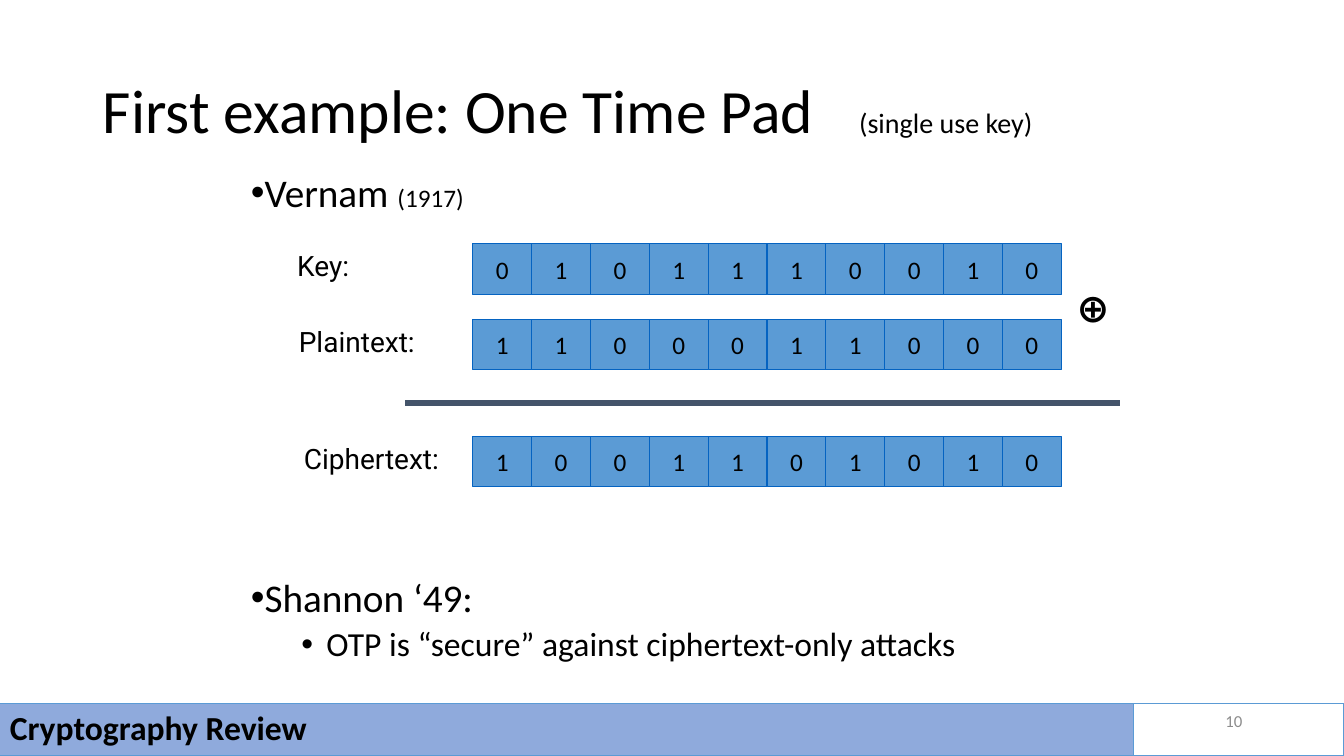
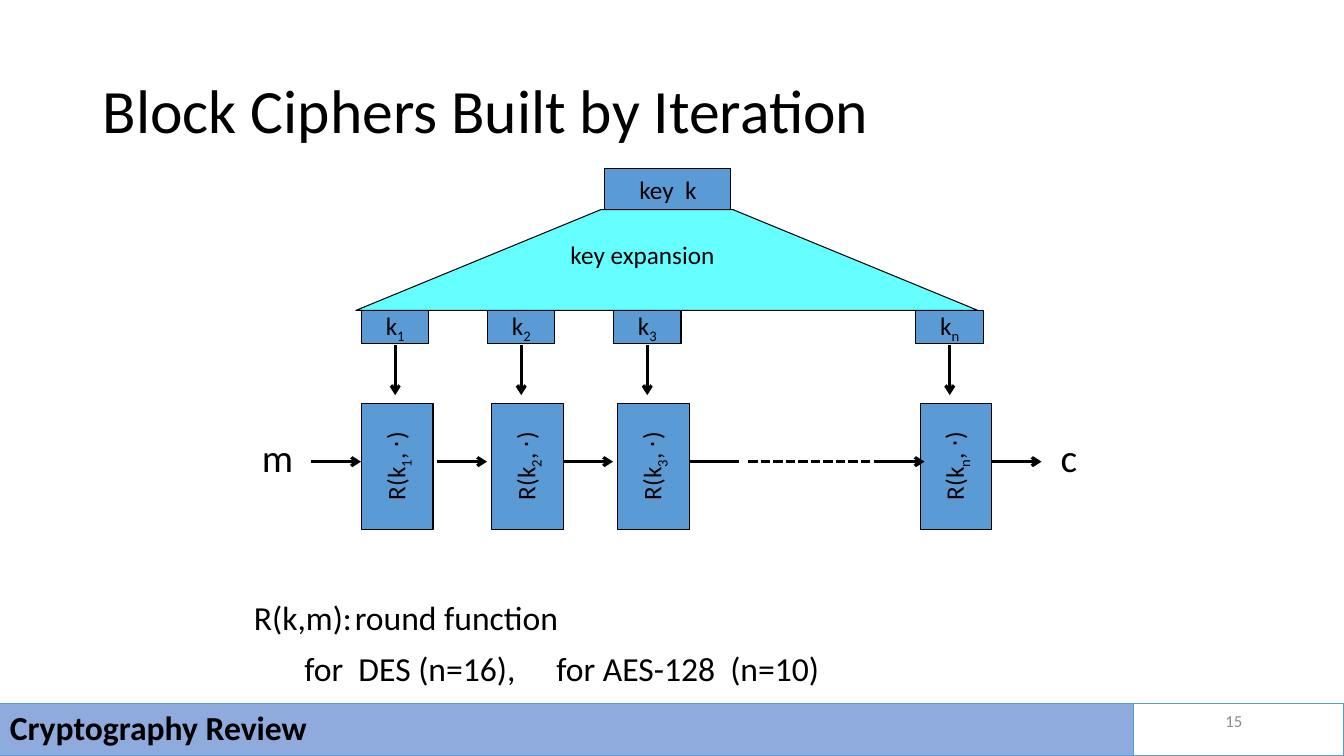
from lxml import etree
from pptx import Presentation
from pptx import util as u
from pptx.dml.color import RGBColor
from pptx.enum import dml, shapes, text
from pptx.oxml.ns import qn

BLACK = RGBColor(0x00, 0x00, 0x00)
BLUE = RGBColor(0x5B, 0x9B, 0xD5)
CELL_EDGE = RGBColor(0x05, 0x63, 0xC1)
BAND = RGBColor(0x8F, 0xAA, 0xDC)
SLATE = RGBColor(0x44, 0x54, 0x6A)
CYAN = RGBColor(0x66, 0xFF, 0xFF)
GRAY = RGBColor(0x8C, 0x8C, 0x8C)
BODY_FONT, LABEL_FONT = "Calibri", "Roboto"

WIDTH, HEIGHT = 13.33, 7.5
BAND_TOP, BAND_SPLIT = 6.98, 11.24
COURSE = "Cryptography Review"

PAD_TITLE = [("First example: One Time Pad", 44), ("\t(single use key)", 20)]
VERNAM = [("Vernam ", 28), ("(1917)", 18)]
SHANNON = "Shannon ‘49:"
SHANNON_CLAIM = "OTP is “secure” against ciphertext-only attacks"
BIT_ROWS = [
    ("Key:", "0101110010", 2.42, 2.83, 0.75),
    ("Plaintext:", "1100011000", 3.17, 2.86, 1.36),
    ("Ciphertext:", "1001101010", 4.33, 2.9, 1.57),
]
BITS_LEFT, BIT_WIDTH, BIT_HEIGHT = 4.69, 0.58 + 0.0036, 0.5

BLOCK_TITLE = [("Block Ciphers Built by Iteration", 44)]
ROUNDS = [("1", 0, 0.02), ("2", 1, 0.06), ("3", 2, 0.06), ("n", 4.4, 0.06)]
ROUND_STEP, FIRST_KEY = 1.25, 3.92
FLOW_Y, FLOW_LENGTH = 4.58, 0.5
FLOWS = [(3.08, True), (4.33, True), (5.58, True), (6.83, False),
         (8.67, True), (9.83, True)]
ROUND_NOTES = [
    ("R(k,m):\tround function", [1.28]),
    ("\tfor  DES (n=16),\tfor AES-128  (n=10)", [1.13, 3.67]),
]


def box(left, top, width, height):
    return [u.Inches(v) for v in (left, top, width, height)]


def write(paragraph, content, size=18, font=BODY_FONT, color=BLACK, bold=None,
          align=text.PP_ALIGN.LEFT, spacing=None, before=0, bullet=False,
          indent=(0, 0), tabs=()):
    properties = paragraph._p.get_or_add_pPr()
    properties.set("marL", str(u.Inches(indent[0])))
    properties.set("indent", str(u.Inches(indent[1])))
    if bullet:
        etree.SubElement(properties, qn("a:buFont"), typeface="Arial")
        etree.SubElement(properties, qn("a:buChar"), char="•")
    else:
        etree.SubElement(properties, qn("a:buNone"))
    if tabs:
        stops = etree.SubElement(properties, qn("a:tabLst"))
        for stop in tabs:
            etree.SubElement(stops, qn("a:tab"), pos=str(u.Inches(stop)), algn="l")
    paragraph.alignment = align
    paragraph.space_before = u.Pt(before)
    if spacing:
        paragraph.line_spacing = spacing
    style = paragraph.font
    style.name, style.size, style.bold = font, u.Pt(size), bold
    style.color.rgb = color
    for words, own_size in [(content, None)] if isinstance(content, str) else content:
        run = paragraph.add_run()
        run.text = words
        if own_size == "sub":
            run._r.get_or_add_rPr().set("baseline", "-25000")
        elif own_size:
            run.font.size = u.Pt(own_size)


def add_label(slide, place, content, wrap=False, anchor=text.MSO_ANCHOR.TOP, **style):
    frame = slide.shapes.add_textbox(*box(*place)).text_frame
    frame.word_wrap = wrap
    frame.vertical_anchor = anchor
    write(frame.paragraphs[0], content, **style)
    return frame


def add_block(owner, place, content="", fill=BLUE, edge=BLACK,
              kind=shapes.MSO_SHAPE.RECTANGLE, wrap=True, **style):
    block = owner.shapes.add_shape(kind, *box(*place))
    block.shadow.inherit = False
    if fill is None:
        block.fill.background()
    else:
        block.fill.solid()
        block.fill.fore_color.rgb = fill
    block.line.color.rgb = edge
    block.line.width = u.Pt(0.75)
    if content:
        frame = block.text_frame
        frame.word_wrap = wrap
        frame.vertical_anchor = text.MSO_ANCHOR.MIDDLE
        write(frame.paragraphs[0], content,
              **{"align": text.PP_ALIGN.CENTER, **style})
    return block


def add_line(slide, start, end, color=BLACK, width=2.25, arrow=False, dashed=False):
    line = slide.shapes.add_connector(
        shapes.MSO_CONNECTOR.STRAIGHT, *[u.Inches(v) for v in (*start, *end)])
    line.line.color.rgb = color
    line.line.width = u.Pt(width)
    if dashed:
        line.line.dash_style = dml.MSO_LINE.SQUARE_DOT
    if arrow:
        etree.SubElement(line.line._get_or_add_ln(), qn("a:tailEnd"), type="arrow")
    etree.SubElement(line._element.spPr, qn("a:effectLst"))


def add_slide(deck, heading, number):
    slide = deck.slides.add_slide(deck.slide_layouts[5])
    title = slide.shapes.title
    title.left, title.top, title.width, title.height = box(0.92, 0.4, 11.5, 1.45)
    frame = title.text_frame
    frame.auto_size = text.MSO_AUTO_SIZE.NONE
    frame.vertical_anchor = text.MSO_ANCHOR.MIDDLE
    write(frame.paragraphs[0], heading, size=44, spacing=0.9, tabs=[7.47])

    band_height = HEIGHT - BAND_TOP
    add_block(slide, (0, BAND_TOP, BAND_SPLIT, band_height), COURSE, fill=BAND,
              edge=BLUE, size=24, bold=True, spacing=0.9, align=text.PP_ALIGN.LEFT)
    add_block(slide, (BAND_SPLIT, BAND_TOP, WIDTH - BAND_SPLIT, band_height),
              fill=None, edge=BLUE)
    add_label(slide, (9.42, 6.95, 3, 0.4), number, wrap=True, size=12, color=GRAY,
              anchor=text.MSO_ANCHOR.MIDDLE, align=text.PP_ALIGN.RIGHT)
    return slide


def build_one_time_pad(deck):
    slide = add_slide(deck, PAD_TITLE, "10")
    add_label(slide, (2.39, 1.67, 8.94, 0.55), VERNAM, wrap=True, size=28,
              spacing=0.9, bullet=True)
    shannon = add_label(slide, (2.39, 5.69, 8.94, 1.1), SHANNON, wrap=True, size=28,
                        spacing=0.9, bullet=True)
    write(shannon.add_paragraph(), SHANNON_CLAIM, size=24, spacing=0.9, before=5,
          bullet=True, indent=(0.75, -0.25))

    for name, bits, top, label_left, label_width in BIT_ROWS:
        row = slide.shapes.add_group_shape()
        for column, bit in enumerate(bits):
            add_block(row, (BITS_LEFT + column * BIT_WIDTH, top, BIT_WIDTH, BIT_HEIGHT),
                      bit, edge=CELL_EDGE, wrap=False)
        add_label(slide, (label_left, top, label_width, 0.44), name, size=20,
                  font=LABEL_FONT, align=text.PP_ALIGN.CENTER)
    add_label(slide, (10.58, 2.76, 0.51, 0.57), "⊕", size=28, font=LABEL_FONT,
              bold=True, align=text.PP_ALIGN.CENTER)
    add_line(slide, (4.02, 4), (11.11, 4), color=SLATE, width=4.5)


def build_block_cipher(deck):
    slide = add_slide(deck, BLOCK_TITLE, "15")
    notes = slide.shapes.add_textbox(*box(2.42, 5.92, 8.92, 1.08)).text_frame
    notes.word_wrap = True
    for index, (words, tabs) in enumerate(ROUND_NOTES):
        paragraph = notes.add_paragraph() if index else notes.paragraphs[0]
        write(paragraph, words, size=24, spacing=0.9, before=10 * index, tabs=tabs)

    add_block(slide, (6, 1.67, 1.25, 0.42), "key  k")
    expansion = add_block(slide, (3.53, 2.08, 6.17, 1), fill=CYAN,
                          kind=shapes.MSO_SHAPE.TRAPEZOID)
    expansion.adjustments[0] = 2.43
    add_label(slide, (5.56, 2.33, 1.65, 0.4), "key expansion")

    for name, slot, shift in ROUNDS:
        center = FIRST_KEY + slot * ROUND_STEP
        add_block(slide, (center - 0.335, 3.08, 0.67, 0.33), [("k", None), (name, "sub")])
        round_box = add_block(slide, (center + shift - 0.625, 4.27, 1.25, 0.71),
                              [("R(k", None), (name, "sub"), (", ⋅)", None)])
        round_box.rotation = 270
        add_line(slide, (center, 3.42), (center, 3.92), arrow=True)

    for start, arrow in FLOWS:
        add_line(slide, (start, FLOW_Y), (start + FLOW_LENGTH, FLOW_Y), arrow=arrow)
    add_line(slide, (7.42, FLOW_Y), (8.67, FLOW_Y), dashed=True)
    add_label(slide, (2.5, 4.25, 0.53, 0.57), "m", size=28)
    add_label(slide, (10.42, 4.25, 0.42, 0.57), "c", size=28)


def main():
    deck = Presentation()
    deck.slide_width, deck.slide_height = u.Inches(WIDTH), u.Inches(HEIGHT)
    build_one_time_pad(deck)
    build_block_cipher(deck)
    deck.save("out.pptx")


if __name__ == "__main__":
    main()
